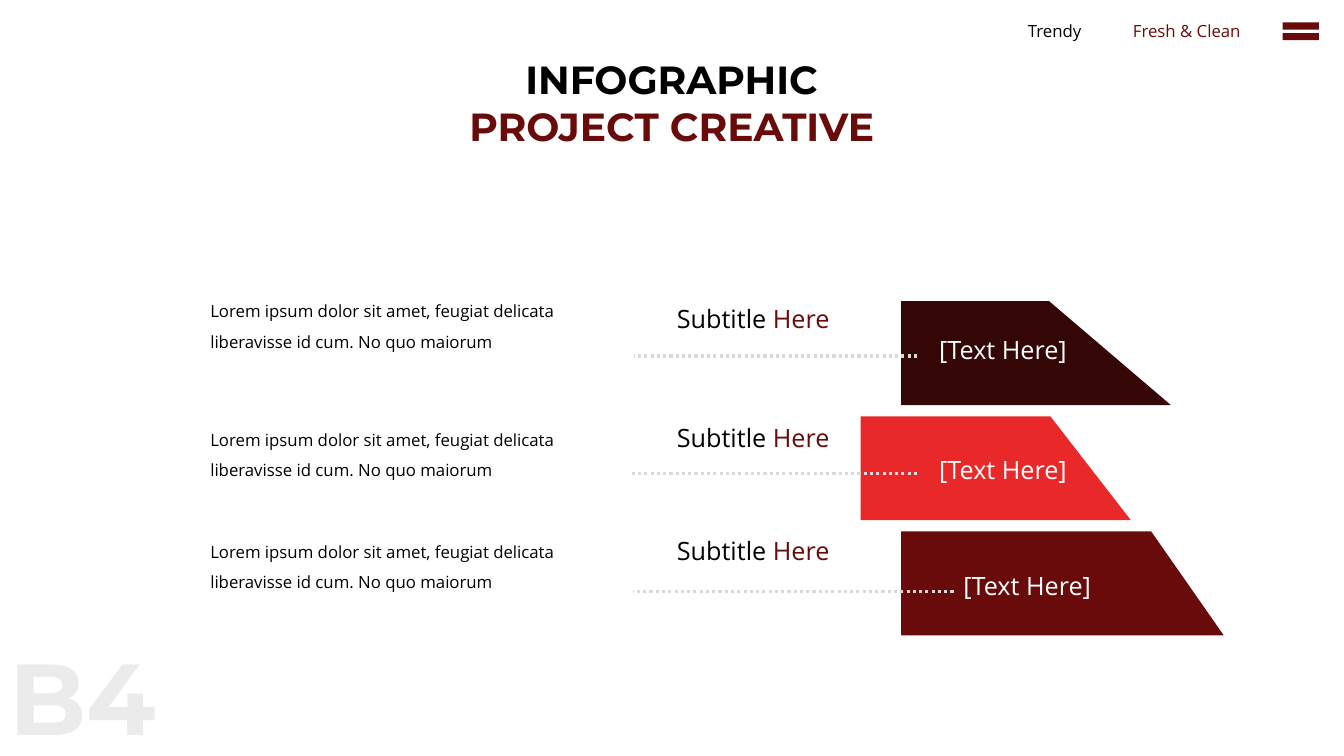
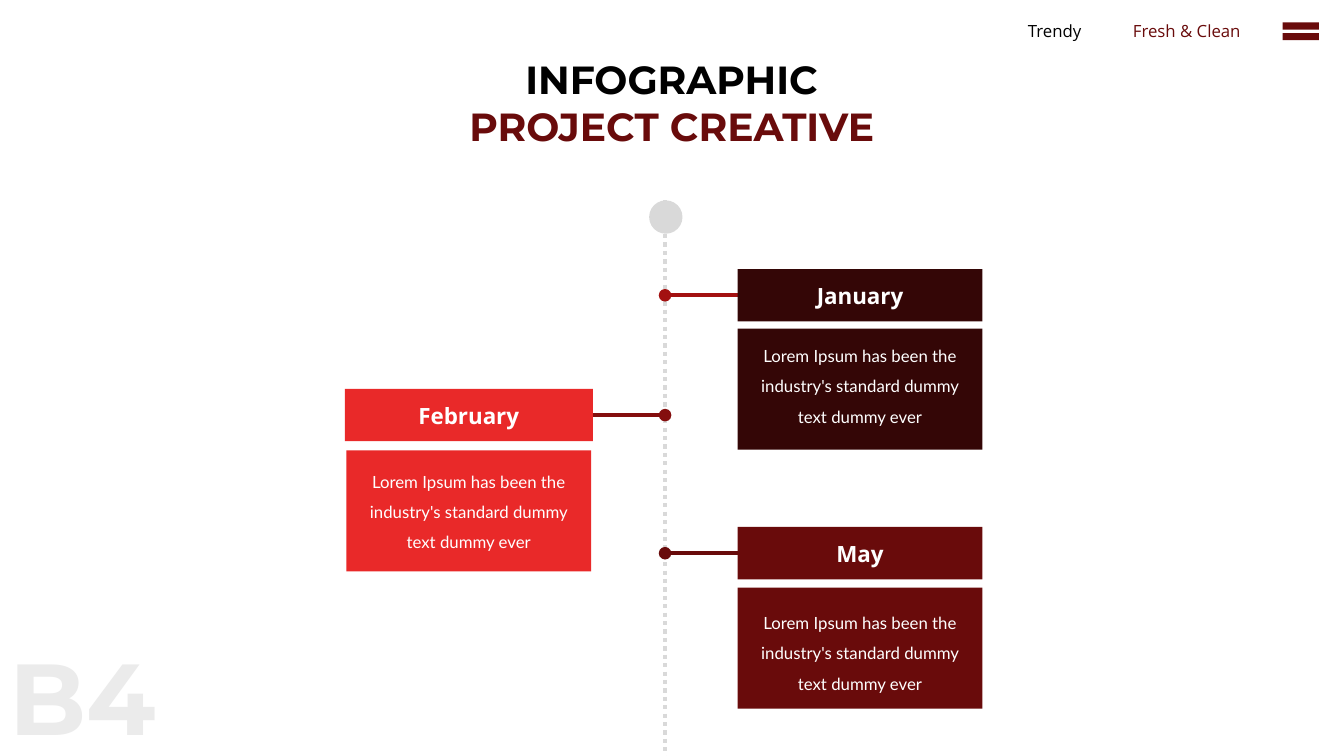
from lxml import etree
from pptx import Presentation
from pptx.dml.color import RGBColor
from pptx.enum import dml, shapes, text
from pptx.oxml import ns
from pptx.util import Cm, Pt

BLACK = RGBColor(0x00, 0x00, 0x00)
WHITE = RGBColor(0xFF, 0xFF, 0xFF)
MAROON = RGBColor(0x69, 0x0B, 0x0B)
DARK = RGBColor(0x34, 0x06, 0x06)
RED = RGBColor(0xE9, 0x29, 0x29)
CRIMSON = RGBColor(0xA3, 0x11, 0x11)
WINE = RGBColor(0x84, 0x0E, 0x0E)
GREY = RGBColor(0xD9, 0xD9, 0xD9)
PALE = RGBColor(0xEB, 0xEB, 0xEB)

BODY_FONT, TITLE_FONT, CARD_FONT = "Open Sans", "Montserrat", "Lato"
CENTER = text.PP_ALIGN.CENTER


def write(shape, runs, size, font=BODY_FONT, bold=False, align=None, wrap=False, spacing=None):
    """Fill a shape with one paragraph made of (wording, colour) runs."""
    shape.text_frame.word_wrap = wrap
    paragraph = shape.text_frame.paragraphs[0]
    paragraph.alignment = align
    paragraph.line_spacing = spacing
    paragraph.font.name, paragraph.font.size, paragraph.font.bold = font, Pt(size), bold
    for wording, colour in runs:
        run = paragraph.add_run()
        run.text = wording
        run.font.color.rgb = colour


def draw_line(slide, start, end, colour, width, dotted=False, oval_end=False):
    """Draw a straight line between two (x, y) points given in centimetres."""
    line = slide.shapes.add_connector(shapes.MSO_CONNECTOR.STRAIGHT, *map(Cm, start + end))
    line.line.color.rgb = colour
    line.line.width = Pt(width)
    if dotted:
        line.line.dash_style = dml.MSO_LINE.ROUND_DOT
    if oval_end:
        etree.SubElement(line.line._get_or_add_ln(), ns.qn("a:tailEnd"), type="oval")
    etree.SubElement(line._element.spPr, ns.qn("a:effectLst"))


deck = Presentation()
deck.slide_width, deck.slide_height = Cm(33.87), Cm(19.05)
title_only = deck.slide_layouts[5]
bands_slide, timeline_slide = (deck.slides.add_slide(title_only) for _ in range(2))

# Shared title, top navigation and corner mark
for slide in (bands_slide, timeline_slide):
    title = slide.shapes.title
    title.left, title.top, title.width, title.height = Cm(11.25), Cm(1.27), Cm(11.35), Cm(2.64)
    title.text_frame.vertical_anchor = text.MSO_ANCHOR.TOP
    write(title, [("INFOGRAPHIC ", BLACK), ("PROJECT CREATIVE", MAROON)], 28,
          TITLE_FONT, bold=True, align=CENTER, wrap=True)

    for wording, colour, left, width in (("Trendy", BLACK, 25.63, 1.9),
                                         ("Fresh & Clean", MAROON, 28.27, 3.28)):
        nav = slide.shapes.add_textbox(Cm(left), Cm(0.41), Cm(width), Cm(0.76))
        write(nav, [(wording, colour)], 12, align=CENTER)

    menu = slide.shapes.add_shape(shapes.MSO_SHAPE.MATH_EQUAL,
                                  Cm(32.16), Cm(0.41), Cm(1.24), Cm(0.76))
    menu.shadow.inherit = False
    menu.fill.solid()
    menu.fill.fore_color.rgb = MAROON
    menu.line.fill.background()

    mark = slide.shapes.add_textbox(Cm(0), Cm(15.88), Cm(4.2), Cm(3.1))
    write(mark, [("B4", PALE)], 72, TITLE_FONT, bold=True)

# Slide 1: three slanted bands, each with a subtitle and a description
BAND_TOP, BAND_PITCH, BAND_HEIGHT = 7.59, 2.9, 2.62
RULE_TOP, RULE_PITCH = 8.97, 2.97
DESCRIPTION = "Lorem ipsum dolor sit amet, feugiat delicata liberavisse id cum. No quo maiorum"
# colour, band left, shoulder and right, rule ends, label (x, y), subtitle y, description y
bands = [
    (DARK, (22.71, 26.44, 29.51), (23.11, 15.98), (23.42, 8.31), 7.52, 7.21),
    (RED, (21.69, 26.47, 28.5), (23.11, 15.88), (23.42, 11.33), 10.52, 10.44),
    (MAROON, (22.71, 29.01, 30.84), (24.03, 15.95), (24.03, 14.25), 13.36, 13.26),
]
for i, (colour, (left, shoulder, right), rule, label_at, subtitle_y, description_y) in enumerate(bands):
    top = BAND_TOP + i * BAND_PITCH
    bottom = top + BAND_HEIGHT
    outline = bands_slide.shapes.build_freeform(Cm(left), Cm(top))
    outline.add_line_segments([(Cm(shoulder), Cm(top)), (Cm(right), Cm(bottom)),
                               (Cm(left), Cm(bottom))])
    band = outline.convert_to_shape()
    band.shadow.inherit = False
    band.fill.solid()
    band.fill.fore_color.rgb = colour
    band.line.fill.background()

    rule_y = RULE_TOP + i * RULE_PITCH
    draw_line(bands_slide, (rule[0], rule_y), (rule[1], rule_y), GREY, 2.25, dotted=True)

    label = bands_slide.shapes.add_textbox(*map(Cm, label_at), Cm(3.84), Cm(1.02))
    write(label, [("[Text Here]", WHITE)], 18)
    subtitle = bands_slide.shapes.add_textbox(Cm(16.81), Cm(subtitle_y), Cm(4.39), Cm(1.02))
    write(subtitle, [("Subtitle ", BLACK), ("Here", MAROON)], 18)
    description = bands_slide.shapes.add_textbox(Cm(5.05), Cm(description_y), Cm(10.54), Cm(1.73))
    write(description, [(DESCRIPTION, BLACK)], 12, wrap=True, spacing=1.5)

# Slide 2: timeline axis
AXIS_X, START_SIZE = 16.76, 0.84
draw_line(timeline_slide, (AXIS_X, 5.05), (AXIS_X, 19.05), GREY, 3, dotted=True)
start_dot = timeline_slide.shapes.add_shape(shapes.MSO_SHAPE.OVAL, Cm(16.36), Cm(5.05),
                                            Cm(START_SIZE), Cm(START_SIZE))
start_dot.shadow.inherit = False
start_dot.fill.solid()
start_dot.fill.fore_color.rgb = GREY
start_dot.line.fill.background()

# Slide 2: month cards
CARD_WIDTH, HEADER_HEIGHT, BODY_HEIGHT = 6.17, 1.32, 3.05
CARD_TEXT = "Lorem Ipsum has been the industry's standard dummy text dummy ever"
# month, card colour, branch colour, left, header overhang, header top, body top, body top margin
months = [
    ("January", DARK, CRIMSON, 18.59, 0, 6.78, 8.28, 0.18),
    ("February", RED, WINE, 8.73, 0.04, 9.8, 11.35, 0.28),
    ("May", MAROON, MAROON, 18.59, 0, 13.28, 14.81, 0.38),
]
for month, colour, branch_colour, left, overhang, header_top, body_top, margin in months:
    header_left, header_width = left - overhang, CARD_WIDTH + 2 * overhang
    branch_x = header_left if left > AXIS_X else header_left + header_width
    branch_y = header_top + HEADER_HEIGHT / 2
    draw_line(timeline_slide, (branch_x, branch_y), (AXIS_X, branch_y), branch_colour, 3,
              oval_end=True)

    header = timeline_slide.shapes.add_shape(
        shapes.MSO_SHAPE.RECTANGLE, Cm(header_left), Cm(header_top),
        Cm(header_width), Cm(HEADER_HEIGHT))
    body = timeline_slide.shapes.add_shape(
        shapes.MSO_SHAPE.RECTANGLE, Cm(left), Cm(body_top), Cm(CARD_WIDTH), Cm(BODY_HEIGHT))
    for part in (header, body):
        part.shadow.inherit = False
        part.fill.solid()
        part.fill.fore_color.rgb = colour
        part.line.fill.background()
    write(header, [(month, WHITE)], 16, bold=True, align=CENTER)
    body.text_frame.vertical_anchor = text.MSO_ANCHOR.TOP
    body.text_frame.margin_top = Cm(margin)
    write(body, [(CARD_TEXT, WHITE)], 12, CARD_FONT, align=CENTER, wrap=True, spacing=1.5)

deck.save("out.pptx")
